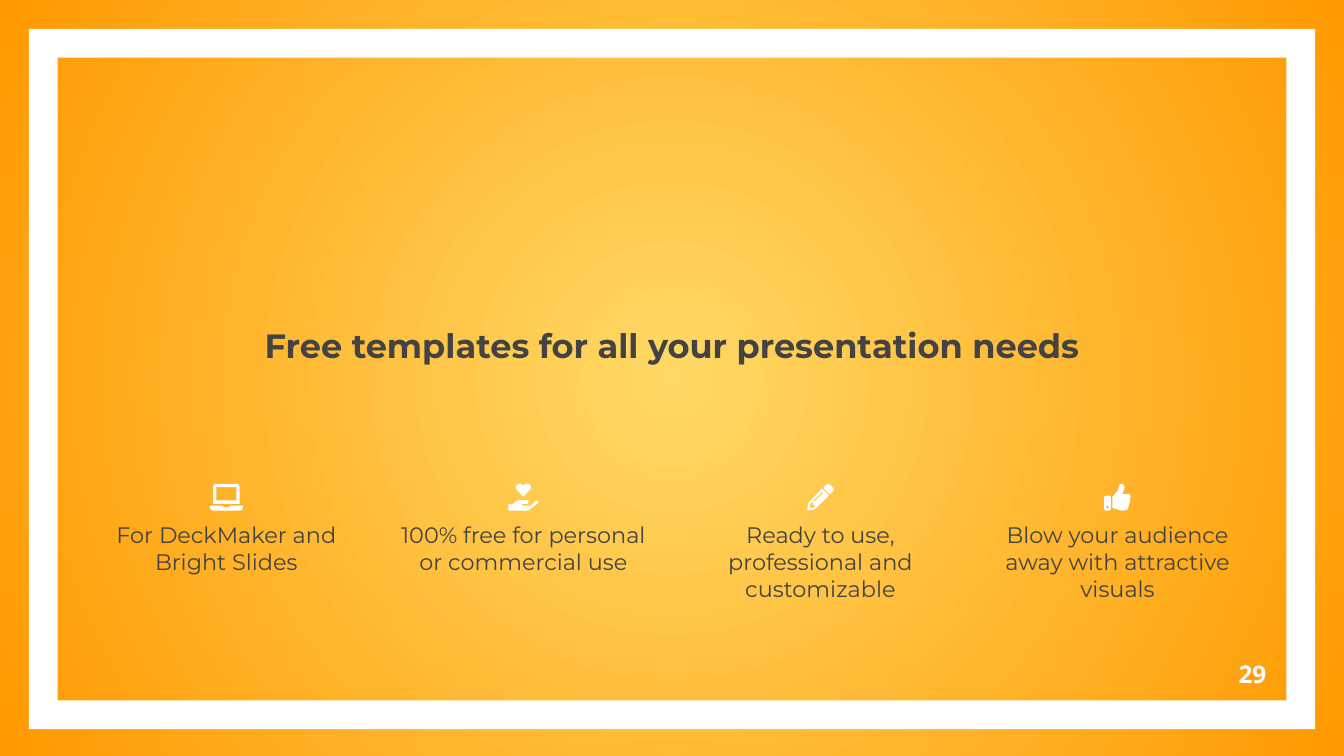
from dataclasses import dataclass

from lxml import etree
from pptx import Presentation
from pptx.dml.color import RGBColor
from pptx.enum.shapes import MSO_SHAPE
from pptx.enum.text import MSO_ANCHOR, PP_ALIGN
from pptx.oxml.ns import qn
from pptx.util import Inches, Pt

FRAME = MSO_SHAPE.FRAME
TOP, MIDDLE = MSO_ANCHOR.TOP, MSO_ANCHOR.MIDDLE
CENTER, RIGHT = PP_ALIGN.CENTER, PP_ALIGN.RIGHT
MIL = Inches(1) / 1000


@dataclass(frozen=True)
class Theme:
    white: RGBColor = RGBColor(0xFF, 0xFF, 0xFF)
    ink: RGBColor = RGBColor(0x43, 0x43, 0x43)
    glow: RGBColor = RGBColor(0xFF, 0xD9, 0x66)
    edge: RGBColor = RGBColor(0xFF, 0x99, 0x00)
    main_font: str = "Montserrat"
    number_font: str = "Noto Sans"
    title_size: Pt = Pt(18)
    body_size: Pt = Pt(12)
    number_size: Pt = Pt(13)


LAPTOP = [
    [(25, 150), (25, 20), (30, 8), (42, 0), (205, 0), (217, 8), (222, 20), (222, 150)],
    [(50, 25), (50, 123), (198, 123), (198, 25)],
    [(0, 162), (98, 162), (104, 174), (144, 174), (150, 162), (248, 162),
     (246, 182), (238, 195), (225, 199), (25, 199), (10, 195), (2, 182)],
]
GIVING_HAND = [
    [(112, 14), (100, 3), (85, 0), (70, 3), (59, 16), (58, 32), (64, 46),
     (112, 96), (160, 46), (168, 32), (167, 16), (155, 3), (140, 0), (124, 3)],
    [(0, 150), (35, 150), (55, 130), (75, 122), (145, 122), (151, 130), (149, 144),
     (138, 150), (102, 150), (100, 156), (104, 162), (160, 162), (172, 157),
     (205, 126), (217, 124), (225, 132), (221, 143), (158, 193), (140, 199),
     (6, 199), (0, 193)],
]
PENCIL = [
    [(122, 28), (145, 4), (157, 0), (169, 4), (195, 30), (199, 41), (195, 53),
     (171, 75), (166, 75), (122, 33)],
    [(108, 38), (114, 38), (162, 86), (160, 91), (56, 190), (8, 199), (0, 192), (9, 143)],
    [(109, 62), (49, 121), (49, 129), (57, 129), (117, 69), (117, 62)],
    [(34, 140), (24, 147), (19, 172), (28, 181), (53, 176), (60, 167), (60, 157),
     (42, 157), (42, 140)],
]
THUMB = [
    [(9, 88), (41, 88), (50, 97), (50, 190), (41, 199), (9, 199), (0, 190), (0, 97)],
    [(25, 163), (18, 166), (15, 173), (18, 180), (25, 183), (32, 180), (35, 173), (32, 166)],
    [(120, 0), (137, 2), (149, 12), (153, 26), (148, 45), (135, 75), (180, 75),
     (194, 82), (199, 95), (192, 112), (195, 127), (187, 145), (187, 160),
     (180, 168), (179, 184), (169, 195), (150, 199), (125, 199), (90, 188),
     (71, 184), (62, 176), (62, 97), (68, 90), (98, 55), (105, 38), (112, 8)],
]

FEATURES = [
    (LAPTOP, "For DeckMaker and Bright Slides"),
    (GIVING_HAND, "100% free for personal or commercial use"),
    (PENCIL, "Ready to use, professional and customizable"),
    (THUMB, "Blow your audience away with attractive visuals"),
]


class SlideBuilder:
    def __init__(self, page, theme):
        self.page = page
        self.theme = theme

    def background(self):
        fill = self.page.background.fill
        fill.gradient()
        for stop, color in zip(fill.gradient_stops, (self.theme.glow, self.theme.edge)):
            stop.color.rgb = color
        gradient = self.page.element.find(".//" + qn("a:gradFill"))
        gradient.remove(gradient.find(qn("a:lin")))
        circle = etree.SubElement(gradient, qn("a:path"), path="circle")
        center = dict.fromkeys(("l", "t", "r", "b"), "50000")
        etree.SubElement(circle, qn("a:fillToRect"), center)

    def paint(self, shape):
        shape.shadow.inherit = False
        shape.fill.solid()
        shape.fill.fore_color.rgb = self.theme.white
        shape.line.fill.background()

    def frame(self, left, top, width, height, thickness):
        shape = self.page.shapes.add_shape(
            FRAME, Inches(left), Inches(top), Inches(width), Inches(height))
        shape.adjustments[0] = thickness
        self.paint(shape)

    def icon(self, contours, center, top):
        width = max(x for contour in contours for x, y in contour)
        builder = self.page.shapes.build_freeform(*contours[0][0], scale=MIL)
        for contour in contours:
            builder.move_to(*contour[0])
            builder.add_line_segments(contour[1:], close=True)
        left = Inches(center) - int(width * MIL / 2)
        self.paint(builder.convert_to_shape(left, Inches(top)))

    def text(self, words, left, top, width, height, font,
             align=CENTER, anchor=TOP, inset=0):
        box = self.page.shapes.add_textbox(
            Inches(left), Inches(top), Inches(width), Inches(height))
        frame = box.text_frame
        margins = ("margin_left", "margin_top", "margin_right", "margin_bottom")
        layout = {"word_wrap": True, "vertical_anchor": anchor,
                  **dict.fromkeys(margins, Inches(inset))}
        for name, value in layout.items():
            setattr(frame, name, value)
        para = frame.paragraphs[0]
        para.alignment = align
        span = para.add_run()
        span.text = words
        style = dict(font)
        span.font.color.rgb = style.pop("color")
        for name, value in style.items():
            setattr(span.font, name, value)


def main():
    deck = Presentation()
    deck.slide_width = Inches(10)
    deck.slide_height = deck.slide_width * 9 // 16
    theme = Theme()
    slide = SlideBuilder(deck.slides.add_slide(deck.slide_layouts[6]), theme)
    body = {"name": theme.main_font, "size": theme.body_size, "color": theme.ink}
    title = {**body, "size": theme.title_size, "bold": True}
    number = {"name": theme.number_font, "size": theme.number_size,
              "color": theme.white, "bold": True}

    slide.background()
    slide.frame(0.215, 0.215, 9.57, 5.21, 0.041)
    slide.text("Free templates for all your presentation needs",
               1.21, 2.42, 7.58, 0.29, title)

    first_left, column_width, column_step = 0.76, 1.85, 2.21
    for index, (contours, words) in enumerate(FEATURES):
        left = first_left + index * column_step
        slide.icon(contours, left + column_width / 2, 3.6)
        slide.text(words, left, 3.88, column_width, 0.7, body)

    slide.text("29", 8.92, 4.8, 0.6, 0.43, number, RIGHT, MIDDLE, 0.1)
    deck.save("out.pptx")


if __name__ == "__main__":
    main()
